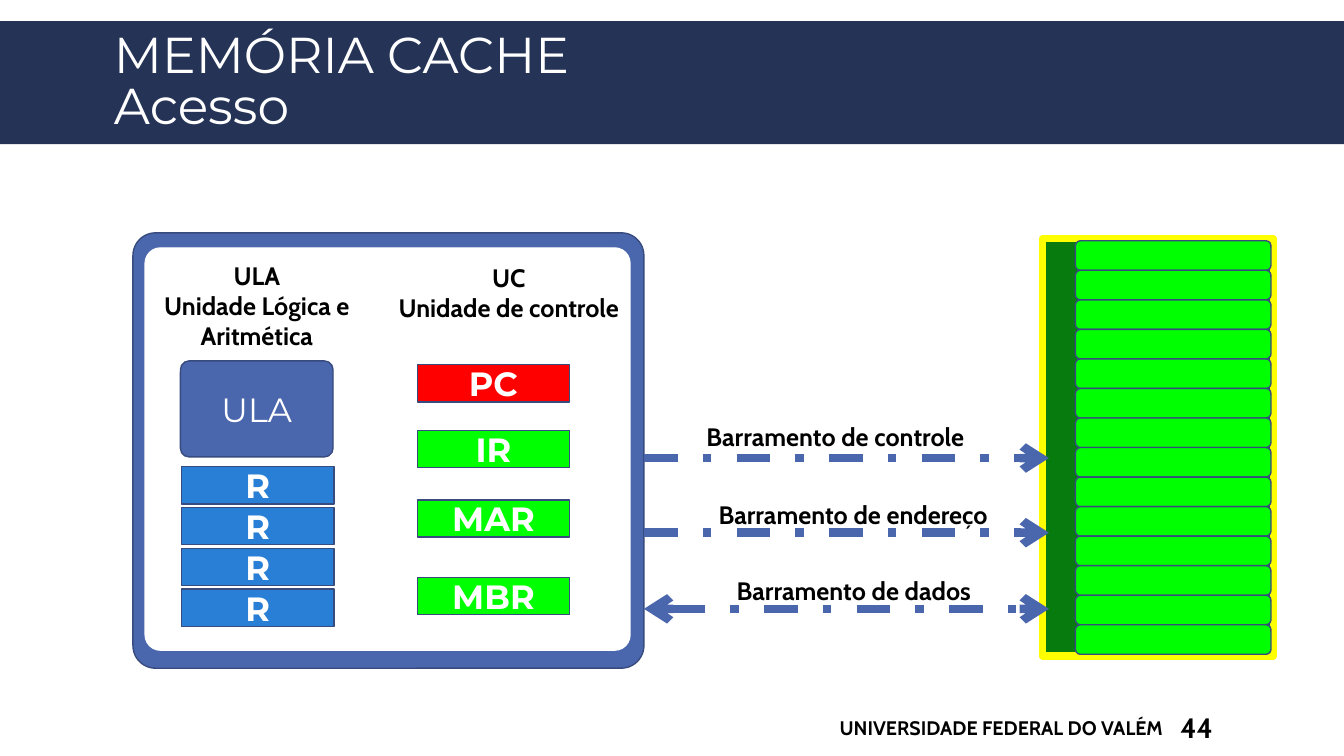
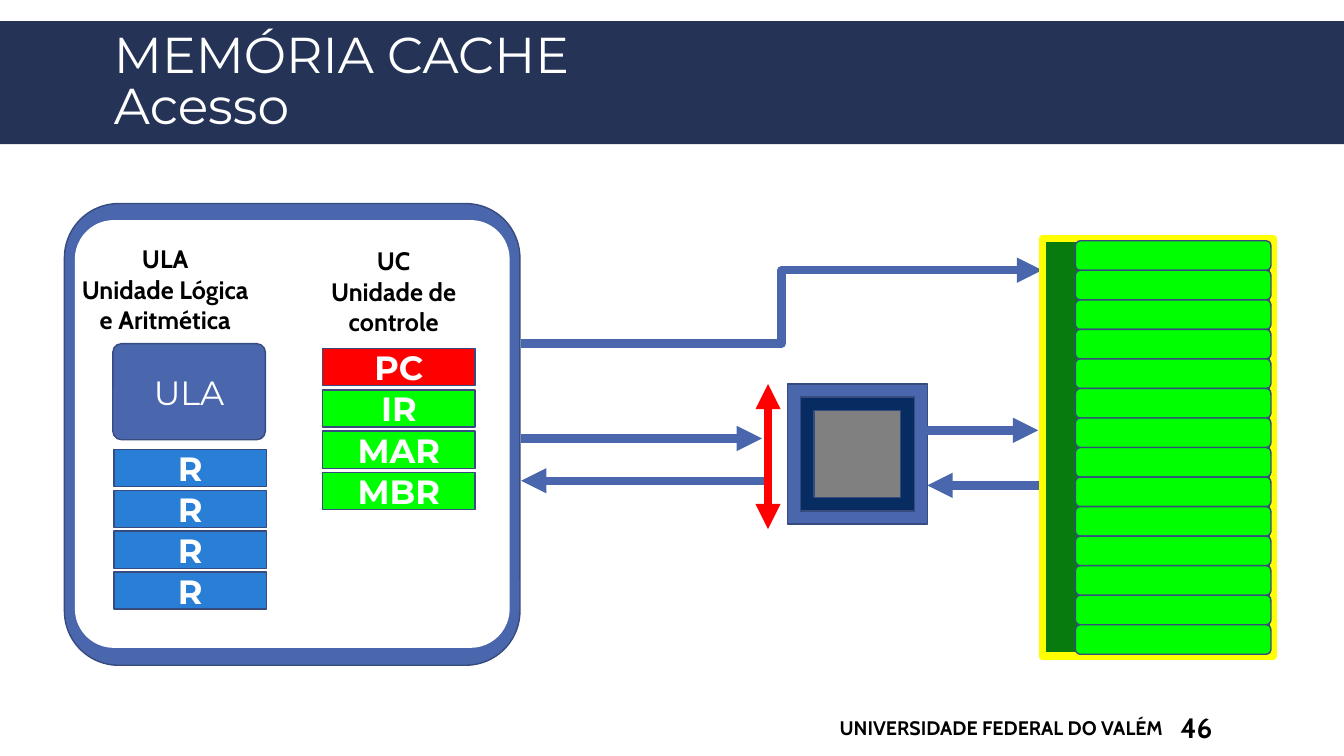
from lxml.etree import SubElement
from pptx import Presentation
from pptx.dml.color import RGBColor
from pptx.enum.dml import MSO_LINE_DASH_STYLE as Dash
from pptx.enum.shapes import MSO_CONNECTOR as Connector, MSO_SHAPE as Shape
from pptx.enum.text import MSO_ANCHOR as Anchor, MSO_AUTO_SIZE as AutoSize, PP_ALIGN as Align
from pptx.oxml.ns import qn
from pptx.util import Pt

NAVY = RGBColor(0x25, 0x33, 0x56)
BLUE = RGBColor(0x4A, 0x66, 0xAC)
OUTLINE = RGBColor(0x37, 0x4B, 0x7F)
SKY = RGBColor(0x29, 0x7F, 0xD5)
DEEP_BLUE = RGBColor(0x07, 0x2C, 0x62)
GREY = RGBColor(0x80, 0x80, 0x80)
GREEN = RGBColor(0x00, 0xFF, 0x00)
DARK_GREEN = RGBColor(0x07, 0x7B, 0x0D)
YELLOW = RGBColor(0xFF, 0xFF, 0x00)
RED = RGBColor(0xFF, 0x00, 0x00)
WHITE = RGBColor(0xFF, 0xFF, 0xFF)
BLACK = RGBColor(0x00, 0x00, 0x00)

HEADING_FONT = "Montserrat"
LABEL_FONT = "Cabin"
SLIDE_WIDTH, SLIDE_HEIGHT = 960, 540
REGISTER_SIZE = (109, 26.6)
MEMORY_LEFT = 744.5
MEMORY_ROWS = 14
ROW_PITCH = 21.1


def points(*lengths):
    return [Pt(length) for length in lengths]


def add_run(paragraph, text, font, size, color, bold=False):
    run = paragraph.add_run()
    run.text = text
    run.font.name = font
    run.font.size = Pt(size)
    run.font.bold = bold
    run.font.color.rgb = color


def add_box(slide, box, fill, outline=OUTLINE, width=1, kind=Shape.RECTANGLE, corner=None):
    shape = slide.shapes.add_shape(kind, *points(*box))
    shape.shadow.inherit = False
    shape.fill.solid()
    shape.fill.fore_color.rgb = fill
    if outline is None:
        shape.line.fill.background()
    else:
        shape.line.color.rgb = outline
        shape.line.width = Pt(width)
    if corner is not None:
        shape.adjustments[0] = corner
    return shape


def add_caption(shape, text, bold=True):
    """Write white centred text inside a block."""
    frame = shape.text_frame
    frame.vertical_anchor = Anchor.MIDDLE
    paragraph = frame.paragraphs[0]
    paragraph.alignment = Align.CENTER
    add_run(paragraph, text, HEADING_FONT, 24, WHITE, bold)


def add_label(slide, box, lines, size=18, align=Align.CENTER, wrap=True, anchor=Anchor.TOP,
              auto_size=AutoSize.SHAPE_TO_FIT_TEXT):
    frame = slide.shapes.add_textbox(*points(*box)).text_frame
    frame.word_wrap = wrap
    frame.auto_size = auto_size
    frame.vertical_anchor = anchor
    for index, line in enumerate(lines):
        paragraph = frame.add_paragraph() if index else frame.paragraphs[0]
        paragraph.alignment = align
        add_run(paragraph, line, LABEL_FONT, size, BLACK, bold=True)
    return frame


def add_arrow(slide, start, end, color=BLUE, tip="triangle", both_ends=False, dash=None,
              kind=Connector.STRAIGHT):
    arrow = slide.shapes.add_connector(kind, *points(*start, *end))
    arrow.line.color.rgb = color
    arrow.line.width = Pt(6)
    if dash is not None:
        arrow.line.dash_style = dash
    properties = arrow.element.spPr
    outline = properties.find(qn("a:ln"))
    if both_ends:
        SubElement(outline, qn("a:headEnd"), type=tip)
    SubElement(outline, qn("a:tailEnd"), type=tip)
    SubElement(properties, qn("a:effectLst"))


def add_layout_band(layout, slide):
    """Draw the title band once, in the layout behind every slide."""
    band = add_box(slide, (0, 15.1, SLIDE_WIDTH, 87.9), NAVY, outline=None)
    layout.shapes.element.insert(2, band.element)


def add_title(slide):
    title = slide.shapes.title
    title.left, title.top, title.width, title.height = points(74.2, 18, 815.8, 83.5)
    frame = title.text_frame
    frame.auto_size = AutoSize.NONE
    frame.vertical_anchor = Anchor.MIDDLE
    paragraph = frame.paragraphs[0]
    paragraph.alignment = Align.LEFT
    paragraph.line_spacing = 0.85
    add_run(paragraph, "MEMÓRIA CACHE", HEADING_FONT, 36, WHITE)
    paragraph.add_line_break()
    add_run(paragraph, "Acesso", HEADING_FONT, 36, WHITE)


def add_footer(slide, page):
    fixed = {"anchor": Anchor.MIDDLE, "auto_size": AutoSize.NONE}
    add_label(slide, (440.6, 505.4, 397.4, 28.8), ["UNIVERSIDADE FEDERAL DO VALÉM"],
              size=14, align=Align.RIGHT, **fixed)
    number = add_label(slide, (839.5, 505.4, 74.2, 28.8), [page], size=20,
                       align=Align.LEFT, **fixed)
    number.margin_left = Pt(3.6)


def add_processor(slide, body, interior, corners):
    add_box(slide, body, BLUE, kind=Shape.ROUNDED_RECTANGLE, corner=corners[0])
    add_box(slide, interior, WHITE, WHITE, kind=Shape.ROUNDED_RECTANGLE, corner=corners[1])


def add_register(slide, left, top, text, fill):
    add_caption(add_box(slide, (left, top, *REGISTER_SIZE), fill), text)


def add_arithmetic_unit(slide, left, top, label_box):
    add_label(slide, label_box, ["ULA", "Unidade Lógica e Aritmética"])
    block = add_box(slide, (left, top, 109, 68.6), BLUE,
                    kind=Shape.ROUNDED_RECTANGLE, corner=0.09)
    add_caption(block, "ULA", bold=False)
    for index in range(4):
        add_register(slide, left + 0.7, top + 75.6 + index * 29.15, "R", SKY)


def add_control_unit(slide, left, tops, label_box):
    add_label(slide, label_box, ["UC", "Unidade de controle"])
    for text, top in zip(("PC", "IR", "MAR", "MBR"), tops):
        add_register(slide, left, top, text, RED if text == "PC" else GREEN)


def add_memory(slide):
    add_box(slide, (MEMORY_LEFT, 170.6, 165, 298), DARK_GREEN, YELLOW, 5.25)
    for row in range(MEMORY_ROWS):
        add_box(slide, (768.2, 172 + row * ROW_PITCH, 139.7, ROW_PITCH), GREEN,
                kind=Shape.ROUNDED_RECTANGLE)


def add_cache(slide):
    center_x, center_y = 612.4, 324.4
    for side, fill in ((100, BLUE), (81.4, DEEP_BLUE), (62, GREY)):
        add_box(slide, (center_x - side / 2, center_y - side / 2, side, side), fill)


def add_bus(slide, name, y, label_box, both_ends=False):
    add_arrow(slide, (460, y), (749.3, y), tip="arrow", both_ends=both_ends, dash=Dash.DASH_DOT)
    add_label(slide, label_box, [f"Barramento de {name}"], align=Align.LEFT, wrap=False)


def draw_bus_access(slide):
    add_memory(slide)
    add_processor(slide, (95, 166.3, 365, 311), (103.7, 177.1, 346.3, 287.3), (0.052, 0.038))
    add_arithmetic_unit(slide, 128.9, 257.8, (95, 182.2, 177, 72.7))
    add_control_unit(slide, 298, (260.6, 307.4, 357.1, 412.6), (275, 183.6, 177, 50.9))
    add_bus(slide, "controle", 327.2, (497.5, 297.4, 201.6, 29))
    add_bus(slide, "endereço", 380.5, (506.2, 352.8, 208.8, 29))
    add_bus(slide, "dados", 434.9, (519.1, 407.5, 183.6, 29), both_ends=True)


def draw_cache_access(slide):
    processor_edge = 372.2
    add_cache(slide)
    add_processor(slide, (46, 145.4, 325.4, 329.8), (54, 157.7, 309.6, 304.6), (0.119, 0.09))
    add_arithmetic_unit(slide, 80.6, 245.5, (46, 170.6, 144, 72.7))
    add_control_unit(slide, 230.4, [249 + index * 29.5 for index in range(4)],
                     (226.8, 172, 108.7, 72.7))
    add_arrow(slide, (processor_edge, 313.2), (544.3, 313.2))
    add_arrow(slide, (546.5, 343.4), (processor_edge, 343.4))
    add_arrow(slide, (548.6, 274.3), (548.6, 378), RED, both_ends=True)
    add_arrow(slide, (processor_edge, 245.5), (MEMORY_LEFT, 193), kind=Connector.ELBOW)
    add_arrow(slide, (662.4, 307.4), (741.6, 307.4))
    add_arrow(slide, (MEMORY_LEFT, 346.7), (662.4, 346.7))
    add_memory(slide)


def main():
    deck = Presentation()
    deck.slide_width, deck.slide_height = points(SLIDE_WIDTH, SLIDE_HEIGHT)
    layout = deck.slide_layouts.get_by_name("Title Only")
    for index, (page, draw) in enumerate((("44", draw_bus_access), ("46", draw_cache_access))):
        slide = deck.slides.add_slide(layout)
        if index == 0:
            add_layout_band(layout, slide)
        add_title(slide)
        add_footer(slide, page)
        draw(slide)
    deck.save("out.pptx")


if __name__ == "__main__":
    main()
